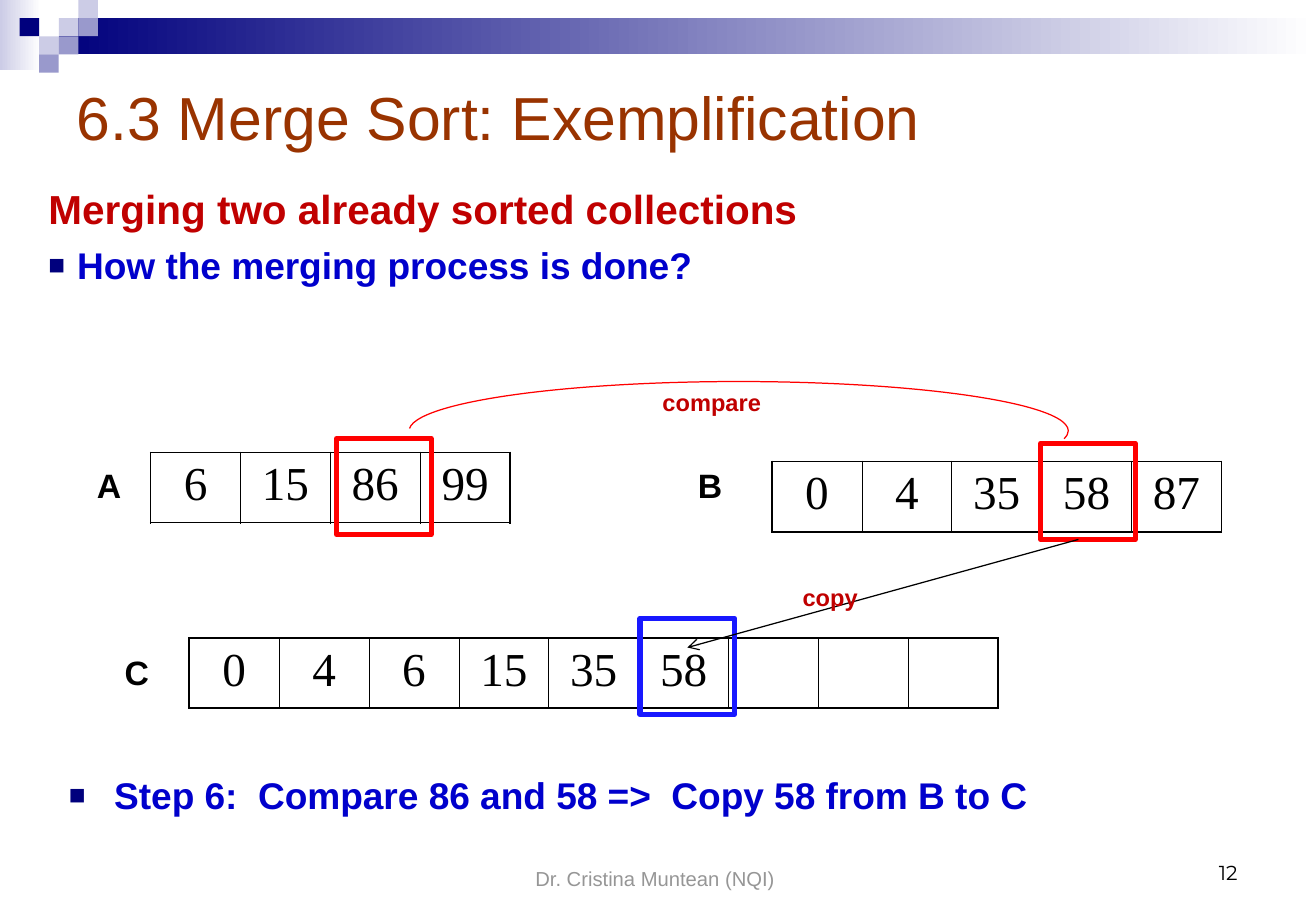
from pptx import Presentation
from pptx.dml.color import RGBColor
from pptx.enum.shapes import MSO_CONNECTOR, MSO_SHAPE
from pptx.enum.text import MSO_ANCHOR, MSO_AUTO_SIZE, PP_ALIGN
from pptx.oxml import parse_xml
from pptx.oxml.ns import nsdecls
from pptx.util import Cm, Pt

NAVY = RGBColor(0x00, 0x00, 0x7D)
LILAC = RGBColor(0xCC, 0xCC, 0xE6)
MAUVE = RGBColor(0x99, 0x99, 0xCC)
WHITE = RGBColor(0xFF, 0xFF, 0xFF)
BLACK = RGBColor(0x00, 0x00, 0x00)
GREY = RGBColor(0x96, 0x96, 0x96)
BROWN = RGBColor(0x99, 0x33, 0x00)
CRIMSON = RGBColor(0xC0, 0x00, 0x00)
BLUE = RGBColor(0x00, 0x00, 0xCC)
RED = RGBColor(0xFF, 0x00, 0x00)
AZURE = RGBColor(0x18, 0x18, 0xFF)


def add_text(para, text, size, color, bold=False, face="Arial"):
    run = para.add_run()
    run.text = text
    run.font.name = face
    run.font.size = Pt(size)
    run.font.bold = bold
    run.font.color.rgb = color


def set_bullet(para, indent):
    """Give a square bullet, or none when the indent is zero."""
    props = para._p.get_or_add_pPr()
    props.set("marL", str(Cm(indent)))
    props.set("indent", str(-Cm(indent)))
    tags = ['<a:buNone {}/>']
    if indent:
        tags = [f'<a:buClr {{}}><a:srgbClr val="{NAVY}"/></a:buClr>',
                '<a:buSzPct {} val="75000"/>',
                '<a:buFont {} typeface="Arial"/>',
                '<a:buChar {} char="■"/>']
    for tag in tags:
        props.append(parse_xml(tag.format(nsdecls("a"))))


deck = Presentation()
deck.slide_width, deck.slide_height = Cm(27.53), Cm(19.05)
slide = deck.slides.add_slide(deck.slide_layouts[1])
shapes = slide.shapes

# Header band and its squares
bands = [(0, 0, 0.86, 1.47, LILAC), (1.24, 0.38, 26.29, 0.76, NAVY)]
for x, y, w, h, color in bands:
    band = shapes.add_shape(MSO_SHAPE.RECTANGLE, Cm(x), Cm(y), Cm(w), Cm(h))
    band.shadow.inherit = False
    band.line.fill.background()
    band.fill.gradient()
    band.fill.gradient_angle = 0
    for stop, place, tint in zip(band.fill.gradient_stops, (0, 1), (color, WHITE)):
        stop.position = place
        stop.color.rgb = tint

TILE_W, TILE_H = 0.41, 0.38
tiles = [(3, 1, LILAC), (4, 0, LILAC), (4, 1, MAUVE), (2, 1, WHITE), (2, 2, LILAC),
         (1, 1, NAVY), (3, 2, MAUVE), (2, 3, MAUVE)]
for col, row, color in tiles:
    tile = shapes.add_shape(MSO_SHAPE.RECTANGLE, Cm(col * TILE_W), Cm(row * TILE_H),
                            Cm(TILE_W), Cm(TILE_H))
    tile.shadow.inherit = False
    tile.line.fill.background()
    tile.fill.solid()
    tile.fill.fore_color.rgb = color

# Title and body
title, body = shapes.title, slide.placeholders[1]
title.left, title.top, title.width, title.height = Cm(1.35), Cm(1.52), Cm(24.77), Cm(1.8)
body.left, body.top, body.width, body.height = Cm(0.76), Cm(3.73), Cm(26.62), Cm(5.21)
for holder in (title, body):
    holder.text_frame.auto_size = MSO_AUTO_SIZE.NONE
title.text_frame.vertical_anchor = MSO_ANCHOR.MIDDLE
head = title.text_frame.paragraphs[0]
head.alignment = PP_ALIGN.LEFT
add_text(head, "6.3 Merge Sort: Exemplification", 36, BROWN)

topic = body.text_frame.paragraphs[0]
topic.space_before = Pt(6)
set_bullet(topic, 0)
add_text(topic, "Merging two already sorted collections", 24, CRIMSON, True)
query = body.text_frame.add_paragraph()
query.space_before = Pt(5.5)
set_bullet(query, 0.6)
add_text(query, "How the merging process is done?", 22, BLUE, True)

# Arrays A, B and C
CELL_W, CELL_H = 1.88, 1.47
THIN, THICK = Pt(0.45), Pt(1.08)
arrays = [(3.96, 13.34, ["0", "4", "6", "15", "35", "58", "", "", ""]),
          (3.15, 9.46, ["6", "15", "86", "99"]),
          (16.15, 9.65, ["0", "4", "35", "58", "87"])]
for x, y, values in arrays:
    count = len(values)
    table = shapes.add_table(1, count, Cm(x), Cm(y), Cm(CELL_W * count), Cm(CELL_H)).table
    table.first_row = table.horz_banding = False
    for i, value in enumerate(values):
        table.columns[i].width = Cm(CELL_W)
        cell = table.cell(0, i)
        props = cell._tc.get_or_add_tcPr()
        left = THIN if i else THICK
        right = THIN if i < count - 1 else THICK
        for side, width in zip("LRTB", (left, right, THICK, THICK)):
            props.append(parse_xml(
                f'<a:ln{side} {nsdecls("a")} w="{width}"><a:solidFill>'
                f'<a:srgbClr val="{BLACK}"/></a:solidFill></a:ln{side}>'))
        cell.fill.background()
        para = cell.text_frame.paragraphs[0]
        para.alignment = PP_ALIGN.CENTER
        para.space_before = Pt(7)
        if value:
            add_text(para, value, 28, BLACK, face="Times New Roman")

# Frames around the current values
for x, y, color in [(7.04, 9.17, RED), (21.77, 9.27, RED), (13.39, 12.93, AZURE)]:
    frame = shapes.add_shape(MSO_SHAPE.RECTANGLE, Cm(x), Cm(y), Cm(1.98), Cm(2.01))
    frame.shadow.inherit = False
    frame.fill.background()
    frame.line.color.rgb = color
    frame.line.width = Pt(3)

# Compare arc and copy arrow
arc = shapes.add_shape(MSO_SHAPE.ARC, Cm(8.56), Cm(7.98), Cm(13.79), Cm(2.06))
arc.shadow.inherit = False
arc.fill.background()
arc.line.color.rgb = RED
arc.line.width = Pt(0.75)
for i, angle in enumerate((180.4, 1.4)):
    arc.adjustments[i] = angle * 0.6

arrow = shapes.add_connector(MSO_CONNECTOR.STRAIGHT, Cm(22.56), Cm(11.28), Cm(14.38), Cm(13.54))
arrow.line.color.rgb = BLACK
arrow.line.width = Pt(0.75)
arrow.line._get_or_add_ln().append(parse_xml(f'<a:tailEnd {nsdecls("a")} type="arrow"/>'))
arrow._element.spPr.append(parse_xml(f'<a:effectLst {nsdecls("a")}/>'))

# Labels
labels = [("A", 1.78, 9.6, 1.17, 1.12, 20, BLACK),
          ("B", 14.35, 9.6, 1.17, 1.12, 20, BLACK),
          ("C", 2.36, 13.51, 1.17, 1.12, 20, BLACK),
          ("compare", 13.61, 7.98, 3.35, 0.86, 14, CRIMSON),
          ("copy", 16.54, 12.07, 1.68, 0.86, 14, CRIMSON)]
for text, x, y, w, h, size, color in labels:
    label = shapes.add_textbox(Cm(x), Cm(y), Cm(w), Cm(h)).text_frame
    label.word_wrap = True
    add_text(label.paragraphs[0], text, size, color, True)

# Step line
step = shapes.add_textbox(Cm(1.19), Cm(16.03), Cm(26.19), Cm(1.5)).text_frame
step.word_wrap = True
line = step.paragraphs[0]
line.space_before = Pt(5.5)
set_bullet(line, 0.95)
add_text(line, "Step 6:  Compare 86 and 58 =>  Copy 58 from B to C", 22, BLUE, True)

# Footer and slide number
notes = [("Dr. Cristina Muntean (NQI)", 9.35, 17.48, 8.71, PP_ALIGN.CENTER, GREY, "Arial"),
         ("12", 19.71, 17.35, 6.43, PP_ALIGN.RIGHT, BLACK, "Montserrat")]
for text, x, y, w, align, color, face in notes:
    note = shapes.add_textbox(Cm(x), Cm(y), Cm(w), Cm(1.27)).text_frame
    note.word_wrap = True
    note.vertical_anchor = MSO_ANCHOR.BOTTOM
    note.paragraphs[0].alignment = align
    add_text(note.paragraphs[0], text, 12, color, face=face)

deck.save("out.pptx")
